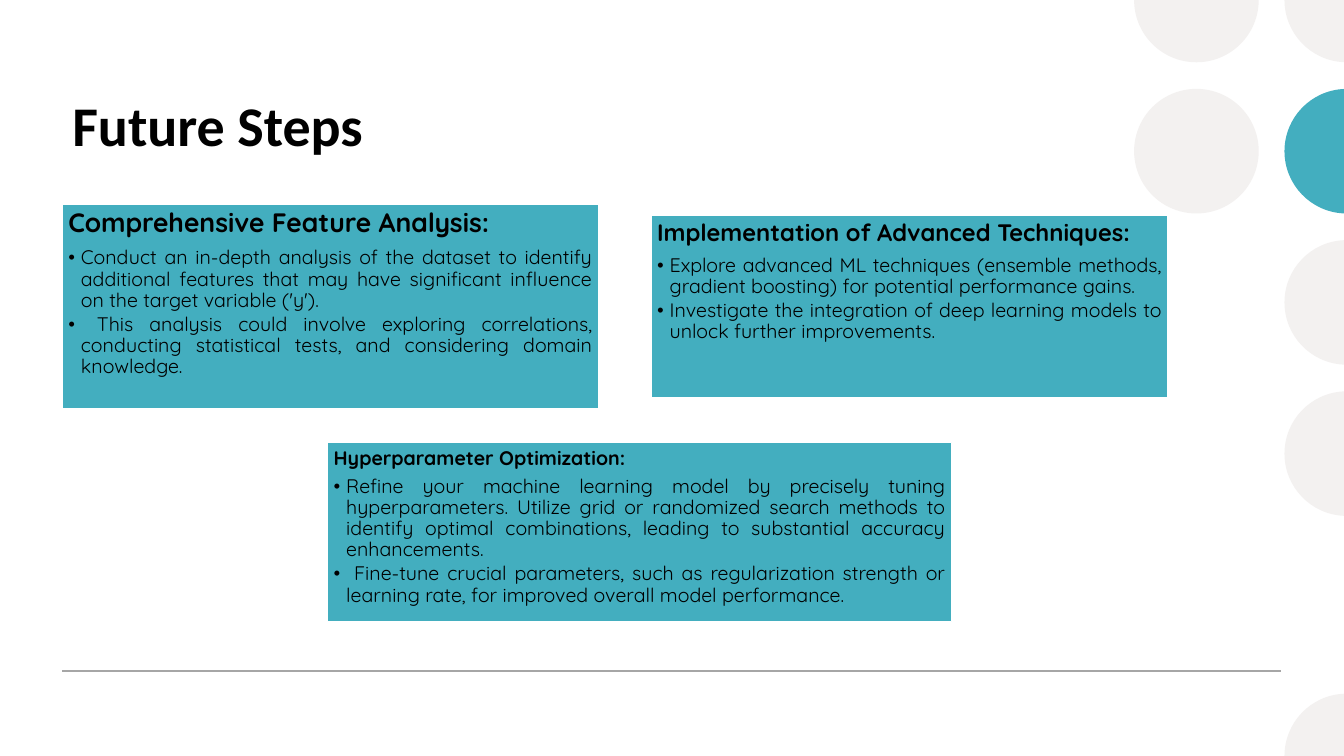
from dataclasses import dataclass
from math import acos, cos, degrees, radians, sin, tan

from lxml import etree
from pptx import Presentation
from pptx.dml.color import RGBColor
from pptx.enum.shapes import MSO_CONNECTOR, MSO_SHAPE
from pptx.enum.text import MSO_ANCHOR, PP_ALIGN
from pptx.oxml.ns import qn
from pptx.util import Pt


@dataclass(frozen=True)
class Theme:
    teal: str = "43AEBF"
    pale: str = "F3F1F0"
    rule: str = "A6A6A6"
    white: str = "FFFFFF"
    ink: str = "000000"
    title_font: str = "Calibri"
    body_font: str = "Quicksand"
    title_size: float = 40
    body_size: float = 14


THEME = Theme()
WIDTH, HEIGHT = 960, 540

# Box (left, top, width, height), heading, heading size, points
CARDS = [
    ((44.6, 145.7, 383, 146.4), "Comprehensive Feature Analysis:", 19, [
        "Conduct an in-depth analysis of the dataset to identify additional features "
        "that may have significant influence on the target variable ('y').",
        " This analysis could involve exploring correlations, conducting statistical "
        "tests, and considering domain knowledge.",
    ]),
    ((465.1, 154, 369.2, 130), "Implementation of Advanced Techniques:", 17, [
        "Explore advanced ML techniques (ensemble methods, gradient boosting) for "
        "potential performance gains.",
        "Investigate the integration of deep learning models to unlock further "
        "improvements.",
    ]),
    ((234.1, 316, 445.7, 128), "Hyperparameter Optimization:", 14, [
        "Refine your machine learning model by precisely tuning hyperparameters. "
        "Utilize grid or randomized search methods to identify optimal combinations, "
        "leading to substantial accuracy enhancements.",
        " Fine-tune crucial parameters, such as regularization strength or learning "
        "rate, for improved overall model performance.",
    ]),
]


def rgb(color):
    return RGBColor.from_string(color)


def write(paragraph, text, *, size, font=THEME.body_font, bold=False, color=THEME.ink,
          align=PP_ALIGN.LEFT, spacing=0.9, after=0, bullet_indent=0):
    paragraph.alignment = align
    paragraph.line_spacing = spacing
    paragraph.space_before, paragraph.space_after = Pt(0), Pt(after)
    run = paragraph.add_run()
    run.text = text
    run.font.size, run.font.name, run.font.bold = Pt(size), font, bold
    run.font.color.rgb = rgb(color)
    if bullet_indent:
        paragraph.level = 1
        properties = paragraph._p.get_or_add_pPr()
        properties.set("marL", str(Pt(bullet_indent)))
        properties.set("indent", str(-Pt(bullet_indent)))
        etree.SubElement(properties, qn("a:buFont")).set("typeface", font)
        etree.SubElement(properties, qn("a:buChar")).set("char", "•")


def set_margins(frame, margin_x, margin_y):
    frame.word_wrap = True
    frame.vertical_anchor = MSO_ANCHOR.TOP
    frame.margin_left = frame.margin_right = Pt(margin_x)
    frame.margin_top = frame.margin_bottom = Pt(margin_y)


def paint(shape, fill, line=None):
    shape.shadow.inherit = False
    shape.fill.solid()
    shape.fill.fore_color.rgb = rgb(fill)
    if line:
        shape.line.color.rgb = rgb(line)
        shape.line.width = Pt(1)
    else:
        shape.line.fill.background()


def add_cut_dot(slide, center_x, center_y, radius, angles, corners):
    """Draw arcs through the angles (clockwise degrees), then lines to the corners."""
    def on_circle(angle, pull=0):
        turn = radians(angle)
        return (Pt(center_x + radius * (cos(turn) - pull * sin(turn))),
                Pt(center_y + radius * (sin(turn) + pull * cos(turn))))

    outline = []
    for start, end in zip(angles, angles[1:]):
        pull = 4 / 3 * tan(radians(end - start) / 4)
        outline += [on_circle(start, pull), on_circle(end, -pull), on_circle(end)]
    builder = slide.shapes.build_freeform(*on_circle(angles[0]))
    builder.add_line_segments(outline + corners, close=True)
    dot = builder.convert_to_shape()

    segments = list(dot._element.iter(qn("a:lnTo")))
    for first in range(0, len(outline), 3):
        curve = etree.Element(qn("a:cubicBezTo"))
        segments[first].addprevious(curve)
        for segment in segments[first:first + 3]:
            curve.append(segment[0])
            segment.getparent().remove(segment)
    return dot


def add_dot_grid(slide, left, top, pitch_x, pitch_y, radius):
    """Place dots, cut at the slide's edges; left and top are the first centre."""
    right = left + pitch_x
    edge = degrees(acos((WIDTH - right) / radius))
    lower, upper = 180 - edge, 180 + edge
    lower, upper = edge, 360 - edge
    cuts = {
        (0, 0): ([0, 90, 180], []),
        (1, 0): ([lower, 180], [(Pt(WIDTH), Pt(0))]),
        (1, 1): ([lower, 180, upper], []),
        (1, 2): ([lower, 180, upper], []),
        (1, 3): ([lower, 180, upper], []),
        (1, 5): ([180, upper], [(Pt(WIDTH), Pt(HEIGHT))]),
    }
    whole = slide.shapes.add_shape(
        MSO_SHAPE.OVAL, Pt(left - radius), Pt(top + pitch_y - radius),
        Pt(2 * radius), Pt(2 * radius))
    paint(whole, THEME.pale)
    for (column, row), (angles, corners) in cuts.items():
        dot = add_cut_dot(slide, left + column * pitch_x, top + row * pitch_y,
                          radius, angles, corners)
        paint(dot, THEME.teal if (column, row) == (1, 1) else THEME.pale)


def add_title(slide, left, top, width, height):
    title = slide.shapes.add_textbox(Pt(left), Pt(top), Pt(width), Pt(height))
    set_margins(title.text_frame, 7.2, 3.6)
    write(title.text_frame.paragraphs[0], "Future Steps", size=THEME.title_size,
          font=THEME.title_font, bold=True, spacing=1.0)


def add_card(slide, box, heading, heading_size, points):
    card = slide.shapes.add_shape(MSO_SHAPE.RECTANGLE, *map(Pt, box))
    paint(card, THEME.teal, THEME.white)
    frame = card.text_frame
    set_margins(frame, 4.2, 4.2)
    write(frame.paragraphs[0], heading, size=heading_size, bold=True,
          align=PP_ALIGN.JUSTIFY, after=0.35 * heading_size)
    for point in points:
        write(frame.add_paragraph(), point, size=THEME.body_size,
              align=PP_ALIGN.JUSTIFY, after=0.15 * THEME.body_size, bullet_indent=9)


def add_footer_rule(slide, left, top, width):
    rule = slide.shapes.add_connector(
        MSO_CONNECTOR.STRAIGHT, Pt(left), Pt(top), Pt(left + width), Pt(top))
    rule.line.color.rgb = rgb(THEME.rule)
    rule.line.width = Pt(1)
    etree.SubElement(rule._element.spPr, qn("a:effectLst"))


def main():
    deck = Presentation()
    deck.slide_width, deck.slide_height = Pt(WIDTH), Pt(HEIGHT)
    slide = deck.slides.add_slide(deck.slide_layouts[6])
    add_dot_grid(slide, left=854.6, top=0, pitch_x=107.4, pitch_y=108, radius=44.5)
    add_footer_rule(slide, left=44.5, top=479.2, width=870.5)
    add_title(slide, left=44.6, top=61, width=577.5, height=100)
    for card in CARDS:
        add_card(slide, *card)
    deck.save("out.pptx")


if __name__ == "__main__":
    main()
